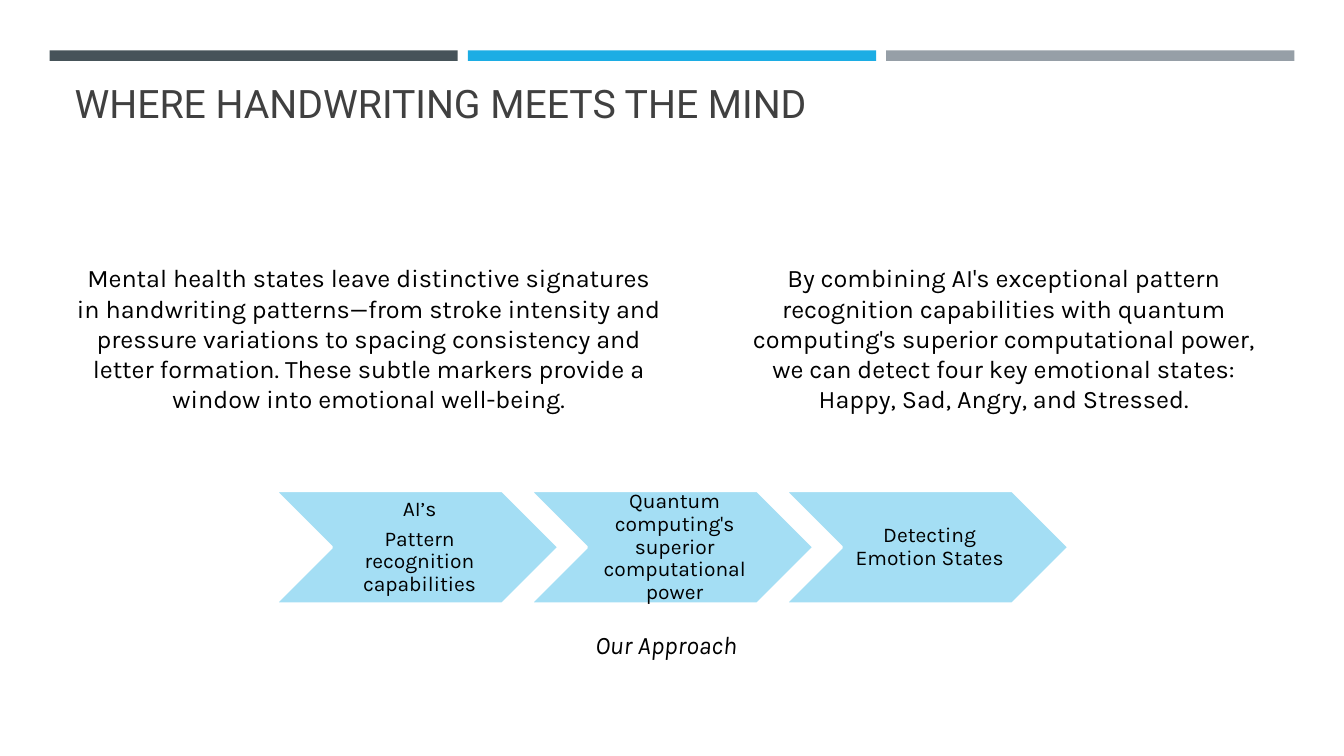
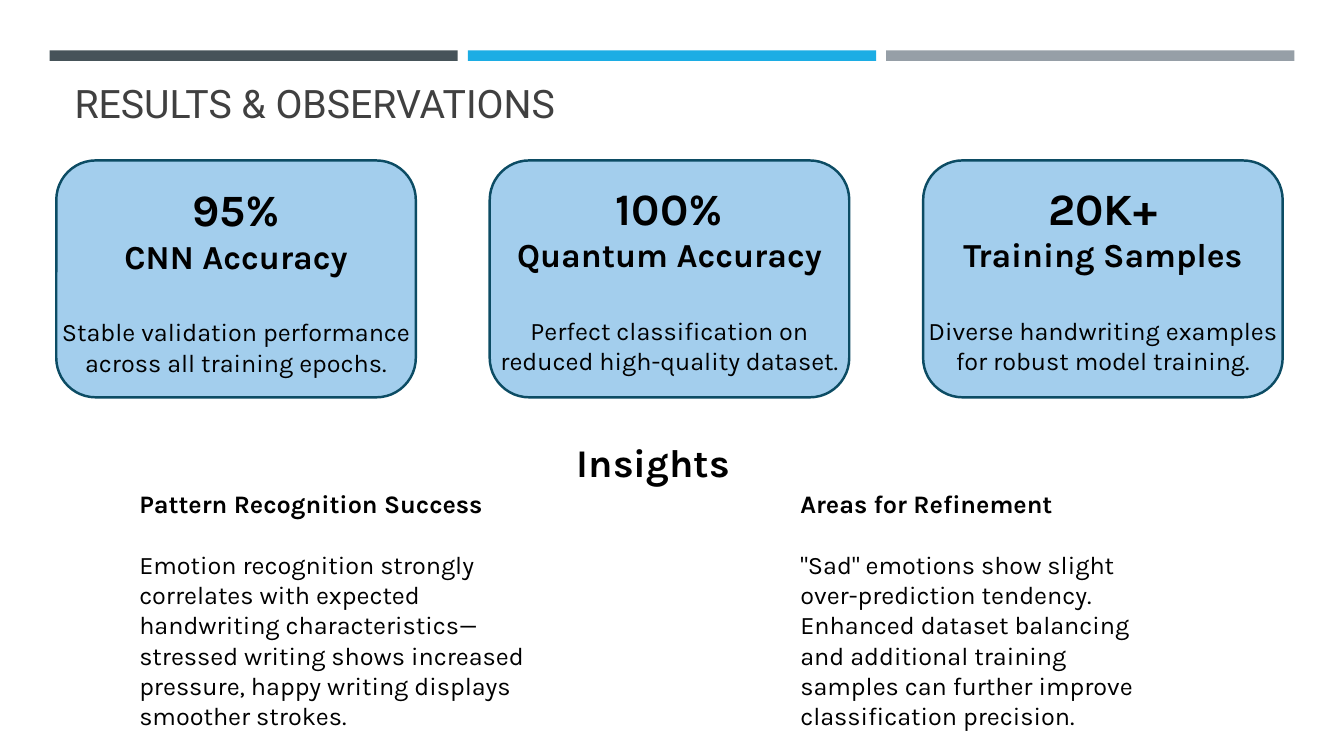
from pptx import Presentation
from pptx import util as u
from pptx.dml.color import RGBColor
from pptx.enum import shapes, text

COLS, ROWS = 160, 90
COLORS = {
    "slate": "465359", "blue": "1CADE4", "gray": "969FA7",
    "title": "404040", "black": "000000", "white": "FFFFFF",
    "step": "A4DEF4", "card": "A3CEED", "edge": "0C4C64",
}
LINE_HEIGHT = 1.2  # height of a text line as a multiple of its size
CENTER = text.PP_ALIGN.CENTER
LEFT = text.PP_ALIGN.LEFT


class Deck:
    """Holds the style, the presentation and the current slide."""

    body_font, title_font = "Karla", "Roboto"

    def __init__(self):
        self.prs = Presentation()
        self.prs.slide_width = u.Inches(13.33)
        self.prs.slide_height = u.Inches(7.5)
        self.s = None

    def box(self, x, y, w, h):
        """Turn grid columns and rows into slide lengths."""
        col, row = self.prs.slide_width / COLS, self.prs.slide_height / ROWS
        return [u.Emu(round(v)) for v in (x * col, y * row, w * col, h * row)]

    def slide(self, title):
        self.s = self.prs.slides.add_slide(self.prs.slide_layouts[6])
        for i, color in enumerate(("slate", "blue", "gray")):
            self.shape("RECTANGLE", 5.9 + i * 49.8, 6, 48.6, 1.25, color)
        tf = self.textbox(7.7, 0, 144.7, 15.6, [(title, 28, {})],
                          font=self.title_font, color="title")
        tf.vertical_anchor = text.MSO_ANCHOR.BOTTOM

    def shape(self, kind, x, y, w, h, fill, line=None):
        sp = self.s.shapes.add_shape(shapes.MSO_SHAPE[kind], *self.box(x, y, w, h))
        sp.shadow.inherit = False
        sp.fill.solid()
        sp.fill.fore_color.rgb = RGBColor.from_string(COLORS[fill])
        if line:
            sp.line.color.rgb = RGBColor.from_string(COLORS[line])
            sp.line.width = u.Pt(1.75)
        else:
            sp.line.fill.background()
        return sp

    def fill_text(self, tf, paras, align=LEFT, font=None, color="black"):
        """Fill a frame with (wording, size, options) paragraphs."""
        tf.word_wrap = True
        for i, (words, size, opts) in enumerate(paras):
            p = tf.paragraphs[0] if i == 0 else tf.add_paragraph()
            p.text = words
            p.alignment = align
            if "gap" in opts:
                p.space_before = u.Pt(opts["gap"])
            f = p.runs[0].font
            f.name, f.size = font or self.body_font, u.Pt(size)
            f.bold, f.italic = opts.get("bold", False), opts.get("italic", False)
            f.color.rgb = RGBColor.from_string(COLORS[color])

    def textbox(self, x, y, w, h, paras, **style):
        tf = self.s.shapes.add_textbox(*self.box(x, y, w, h)).text_frame
        self.fill_text(tf, paras, **style)
        return tf

    def step(self, x, y, w, h, lines):
        tf = self.shape("CHEVRON", x, y, w, h, "step", "white").text_frame
        tf.margin_left = u.Inches(0.07)
        tf.margin_right = tf.margin_top = tf.margin_bottom = u.Inches(0.02)
        tf.vertical_anchor = text.MSO_ANCHOR.MIDDLE
        self.fill_text(tf, [(line, 15, {}) for line in lines], align=CENTER)
        for p in tf.paragraphs:
            p.line_spacing = 0.9
            p.space_after = u.Pt(5)

    def card(self, x, text_y, figure, label, note):
        self.shape("ROUNDED_RECTANGLE", x, 19.1, 42.8, 28.2, "card", "edge")
        self.textbox(x - 2.1, text_y, 47, 24.6, [
            (figure, 32, {"bold": True}),
            (label, 24, {"bold": True}),
            (note, 18, {"gap": 24 * LINE_HEIGHT}),
        ], align=CENTER)

    def insight(self, x, w, heading, body):
        self.textbox(x, 57.6, w, 26.6, [
            (heading, 18, {"bold": True}),
            (body, 18, {"gap": 18 * LINE_HEIGHT}),
        ])


def main():
    d = Deck()

    # Slide 1: motivation and approach
    d.slide("WHERE HANDWRITING MEETS THE MIND")
    for x, w, words in (
        (7.7, 72.4, "Mental health states leave distinctive signatures in "
         "handwriting patterns—from stroke intensity and pressure variations "
         "to spacing consistency and letter formation. These subtle markers "
         "provide a window into emotional well-being."),
        (86.7, 65.6, "By combining AI's exceptional pattern recognition "
         "capabilities with quantum computing's superior computational power, "
         "we can detect four key emotional states: Happy, Sad, Angry, and "
         "Stressed."),
    ):
        d.textbox(x, 30.7, w, 19.4, [(words, 18, {})], align=CENTER)

    steps = (
        ["AI’s", "Pattern recognition capabilities"],
        ["Quantum computing's superior computational power"],
        ["Detecting Emotion States"],
    )
    for i, lines in enumerate(steps):
        d.step(32.8 + i * 30.36, 58.45, 33.7, 13.4, lines)
    d.textbox(69.7, 74.3, 20.7, 4.8, [("Our Approach", 18, {"italic": True})])

    # Slide 2: result cards and insights
    d.slide("RESULTS & OBSERVATIONS")
    cards = (
        (21.1, "95%", "CNN Accuracy",
         "Stable validation performance across all training epochs."),
        (20.9, "100%", "Quantum Accuracy",
         "Perfect classification on reduced high-quality dataset."),
        (20.9, "20K+", "Training Samples",
         "Diverse handwriting examples for robust model training."),
    )
    for i, card in enumerate(cards):
        d.card(6.7 + i * 51.6, *card)

    d.textbox(67.5, 51.6, 25.2, 6.8, [("Insights", 28, {"bold": True})])
    d.insight(15.4, 50.5, "Pattern Recognition Success",
              "Emotion recognition strongly correlates with expected handwriting "
              "characteristics—stressed writing shows increased pressure, happy "
              "writing displays smoother strokes.")
    d.insight(94.1, 46, "Areas for Refinement",
              '"Sad" emotions show slight over-prediction tendency. Enhanced '
              "dataset balancing and additional training samples can further "
              "improve classification precision.")

    d.prs.save("out.pptx")


if __name__ == "__main__":
    main()
